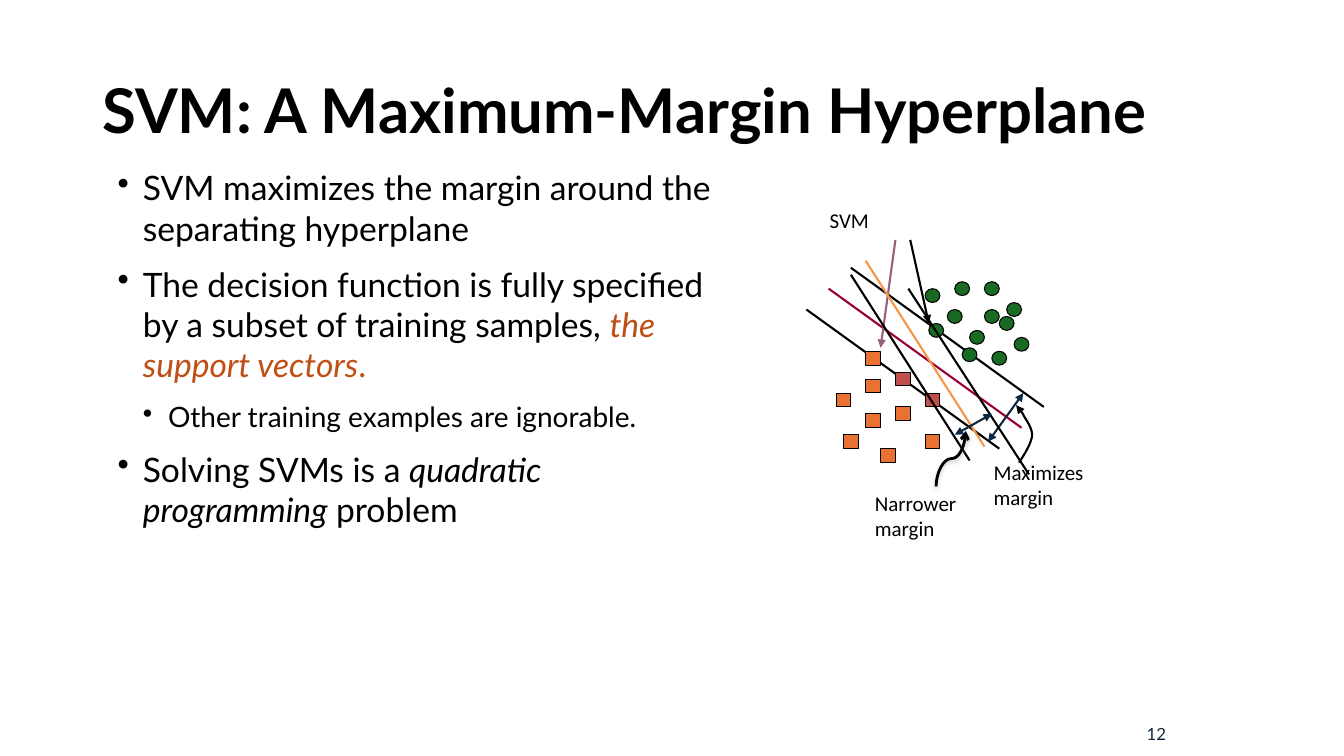
"""Build the slide on support vector machines as maximum-margin hyperplanes."""
from dataclasses import dataclass

from lxml import etree
from pptx import Presentation
from pptx.dml.color import RGBColor
from pptx.enum import shapes, text
from pptx.oxml import ns
from pptx.util import Pt

BLACK = RGBColor(0x00, 0x00, 0x00)
NAVY = RGBColor(0x0E, 0x28, 0x41)
RUST = RGBColor(0xC0, 0x4F, 0x15)
GREEN = RGBColor(0x19, 0x6B, 0x24)
ORANGE = RGBColor(0xE9, 0x71, 0x32)
RED = RGBColor(0xC0, 0x50, 0x4D)
CRIMSON = RGBColor(0x99, 0x00, 0x33)
MAUVE = RGBColor(0x96, 0x60, 0x7D)
AMBER = RGBColor(0xF7, 0x96, 0x46)

GRID_LEFT, GRID_TOP = 576, 171.4
STEP_X, STEP_Y = 5.3, 4.97
MARKER_WIDTH, MARKER_HEIGHT = 10.6, 9.9
CIRCLE = shapes.MSO_SHAPE.OVAL
SQUARE = shapes.MSO_SHAPE.RECTANGLE


@dataclass(frozen=True)
class Samples:
    kind: shapes.MSO_SHAPE
    fill: RGBColor
    cells: tuple


@dataclass(frozen=True)
class Line:
    start: tuple
    end: tuple
    color: RGBColor = BLACK
    head: str = ""
    tail: str = ""


@dataclass(frozen=True)
class Span:
    text: str
    italic: bool = False
    color: RGBColor = BLACK


@dataclass(frozen=True)
class Label:
    area: tuple
    lines: tuple
    size: float
    font: str = "Calibri"
    color: RGBColor = BLACK
    bold: bool = False
    wrap: bool = False
    anchor: text.MSO_ANCHOR = text.MSO_ANCHOR.TOP
    align: text.PP_ALIGN = text.PP_ALIGN.LEFT
    spacing: float = 1.0


@dataclass(frozen=True)
class Bullet:
    indent: float
    size: float
    spans: tuple


TITLE = Label((66, 29, 828, 104), ("SVM: A Maximum-Margin Hyperplane",), 44, "Lato",
              bold=True, wrap=True, anchor=text.MSO_ANCHOR.MIDDLE, spacing=0.9)
PAGE_NUMBER = Label((714, 508, 126, 32), ("12",), 12, "Lato", NAVY, wrap=True,
                    anchor=text.MSO_ANCHOR.MIDDLE, align=text.PP_ALIGN.RIGHT)
CAPTIONS = (
    Label((585.5, 144.7, 50, 28), ("SVM",), 15),
    Label((702.7, 324.7, 93, 47.5), ("Maximizes", "margin"), 15),
    Label((617.8, 347, 101.5, 47.5), ("Narrower", "margin"), 15, wrap=True),
)
BULLETS = (
    Bullet(18, 24, (Span("SVM maximizes the margin around the separating hyperplane"),)),
    Bullet(18, 24, (
        Span("The decision function is fully specified by a subset of training samples, "),
        Span("the support vectors", True, RUST), Span(".", color=RUST))),
    Bullet(36, 20, (Span("Other training examples are ignorable."),)),
    Bullet(18, 24, (Span("Solving SVMs is a "), Span("quadratic programming", True),
                    Span(" problem"))),
)

DRAWING = (
    Samples(CIRCLE, GREEN, ((20, 6), (24, 10), (22, 13), (28, 14), (25, 16), (24, 6),
                            (16, 7), (26, 11), (27, 9), (19, 10))),
    Samples(SQUARE, ORANGE, ((8, 20), (10, 30), (12, 24), (16, 28), (4, 22), (8, 25), (5, 28))),
    Line((3, 7), (29, 27), CRIMSON),
    Line((6, 4), (32, 24)),
    Line((0, 10), (26, 30)),
    Line((12, 0), (10, 15.5), MAUVE, tail="triangle"),
    Line((14, 0), (16.5, 12), tail="triangle"),
    Line((24.5, 29), (29.25, 22), NAVY, "triangle", "triangle"),
    Line((8, 3), (24, 29.7), AMBER),
    Samples(CIRCLE, GREEN, ((16.5, 12), (21, 15.5))),
    Samples(SQUARE, RED, ((12, 19), (16, 22))),
    Samples(SQUARE, ORANGE, ((8, 16),)),
    Line((6, 5), (22, 31.7)),
    Line((13.75, 7), (30, 33.7)),
    Line((20, 28), (25, 25), NAVY, "triangle", "triangle"),
)
MAXIMUM_ARROW = (
    ((727.9, 330.5), (732.2, 324), (736.6, 316.8), (737.3, 311)),
    ((737.3, 311), (737.3, 306), (733.7, 301), (731.5, 297.4)),
    ((731.5, 297.4), (730.1, 293.8), (726.5, 291), (725.8, 289.4)),
)


def grid_point(column: float, row: float) -> tuple:
    return Pt(GRID_LEFT + column * STEP_X), Pt(GRID_TOP + row * STEP_Y)


def style_line(shape, color: RGBColor, width: float, head: str = "", tail: str = "") -> None:
    shape.line.color.rgb = color
    shape.line.width = Pt(width)
    outline = shape.line._get_or_add_ln()
    for tag, arrow in (("a:headEnd", head), ("a:tailEnd", tail)):
        if arrow:
            etree.SubElement(outline, ns.qn(tag), type=arrow)


def add_text_box(page, area: tuple, wrap: bool):
    box = page.shapes.add_textbox(*map(Pt, area))
    box.text_frame.word_wrap = wrap
    return box


def add_label(page, label: Label) -> None:
    frame = add_text_box(page, label.area, label.wrap).text_frame
    frame.vertical_anchor = label.anchor
    for index, line in enumerate(label.lines):
        para = frame.add_paragraph() if index else frame.paragraphs[0]
        para.text = line
        para.alignment = label.align
        para.line_spacing = label.spacing
        para.font.name, para.font.size = label.font, Pt(label.size)
        para.font.bold, para.font.color.rgb = label.bold, label.color


def add_bullets(page) -> None:
    frame = add_text_box(page, (77, 116, 451.5, 323), True).text_frame
    for index, bullet in enumerate(BULLETS):
        para = frame.add_paragraph() if index else frame.paragraphs[0]
        properties = para._p.get_or_add_pPr()
        properties.set("marL", str(Pt(bullet.indent)))
        properties.set("indent", str(-Pt(18)))
        etree.SubElement(properties, ns.qn("a:buChar"), char="•")
        para.space_before, para.space_after = Pt(5), Pt(6)
        para.font.name, para.font.size = "Lato", Pt(bullet.size)
        for span in bullet.spans:
            run = para.add_run()
            run.text = span.text
            run.font.italic, run.font.color.rgb = span.italic, span.color


def add_samples(group, samples: Samples) -> None:
    for cell in samples.cells:
        marker = group.shapes.add_shape(samples.kind, *grid_point(*cell),
                                        Pt(MARKER_WIDTH), Pt(MARKER_HEIGHT))
        marker.shadow.inherit = False
        marker.fill.solid()
        marker.fill.fore_color.rgb = samples.fill
        style_line(marker, BLACK, 0.75)


def add_line(group, line: Line) -> None:
    connector = group.shapes.add_connector(
        shapes.MSO_CONNECTOR.STRAIGHT, *grid_point(*line.start), *grid_point(*line.end))
    style_line(connector, line.color, 1.5, line.head, line.tail)
    etree.SubElement(connector._element.spPr, ns.qn("a:effectLst"))


def bezier(curve: tuple, t: float) -> tuple:
    weights = ((1 - t) ** 3, 3 * t * (1 - t) ** 2, 3 * t * t * (1 - t), t ** 3)
    return tuple(Pt(sum(w * point[axis] for w, point in zip(weights, curve))) for axis in (0, 1))


def add_maximum_arrow(group) -> None:
    points = [bezier(curve, step / 8) for curve in MAXIMUM_ARROW for step in range(1, 9)]
    builder = group.shapes.build_freeform(*bezier(MAXIMUM_ARROW[0], 0))
    builder.add_line_segments(points, close=False)
    arrow = builder.convert_to_shape()
    arrow.shadow.inherit = False
    arrow.fill.background()
    style_line(arrow, BLACK, 1.5, tail="triangle")


def add_narrow_arrow(group) -> None:
    arrow = group.shapes.add_connector(shapes.MSO_CONNECTOR.CURVE,
                                       Pt(699.1), Pt(338.2), Pt(659.5), Pt(317))
    properties = arrow._element.spPr
    properties.find(ns.qn("a:xfrm")).set("rot", str(90 * 60000))
    style_line(arrow, BLACK, 2, tail="arrow")
    effects = etree.SubElement(properties, ns.qn("a:effectLst"))
    shadow = etree.SubElement(effects, ns.qn("a:outerShdw"), blurRad=str(Pt(3.1)),
                              dist=str(Pt(1.6)), dir=str(90 * 60000))
    color = etree.SubElement(shadow, ns.qn("a:srgbClr"), val="808080")
    etree.SubElement(color, ns.qn("a:alpha"), val="38000")


def main() -> None:
    deck = Presentation()
    deck.slide_width, deck.slide_height = Pt(960), Pt(540)
    page = deck.slides.add_slide(deck.slide_layouts[6])
    add_label(page, TITLE)
    add_bullets(page)
    add_label(page, PAGE_NUMBER)
    diagram = page.shapes.add_group_shape()
    for item in DRAWING:
        (add_samples if isinstance(item, Samples) else add_line)(diagram, item)
    add_maximum_arrow(diagram)
    for caption in CAPTIONS:
        add_label(diagram, caption)
    add_narrow_arrow(diagram)
    deck.save("out.pptx")


if __name__ == "__main__":
    main()
